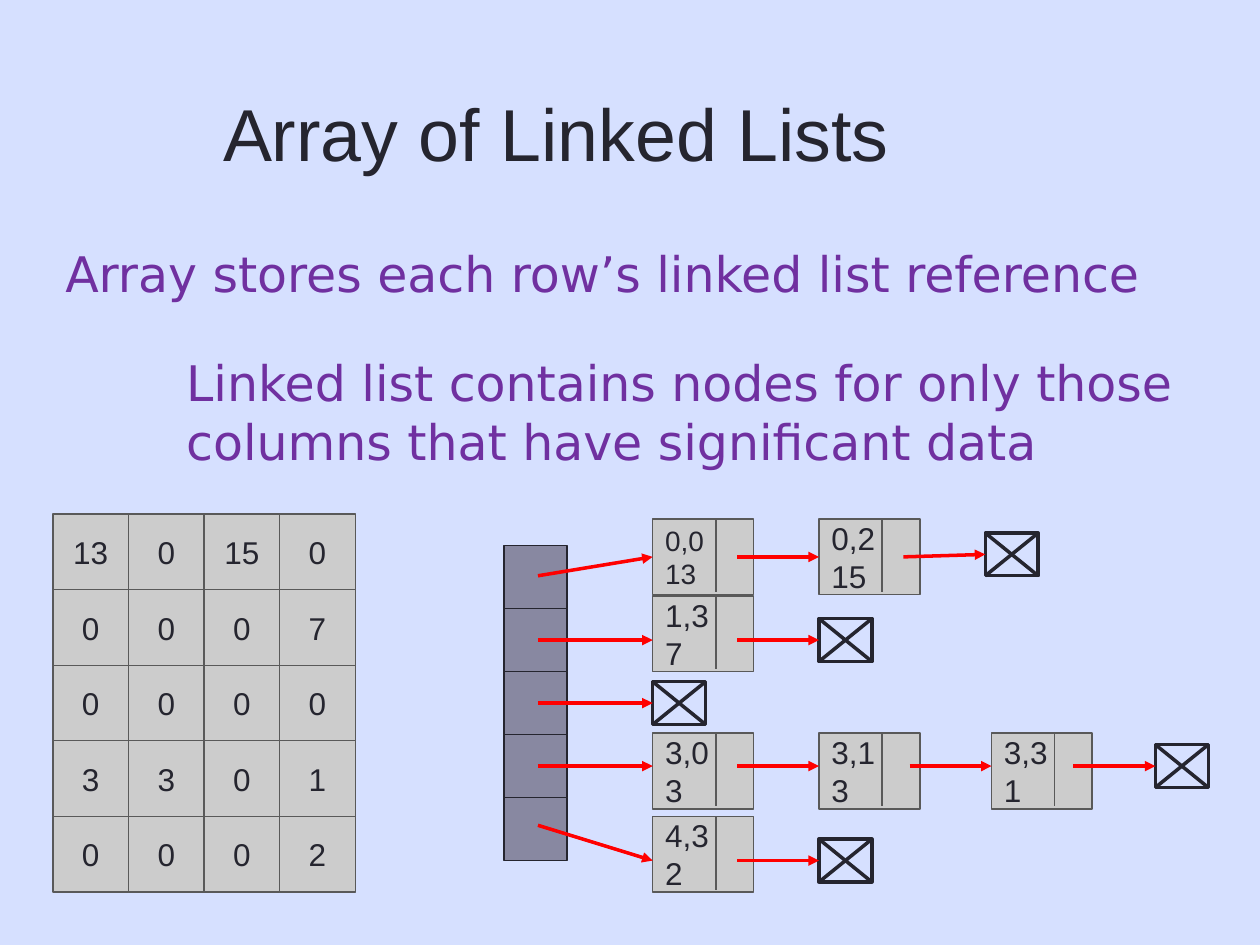
import pptx
import pptx.util
import pptx.dml.color
import pptx.enum.shapes
import pptx.enum.text
import pptx.oxml
import pptx.oxml.ns

Inches = pptx.util.Inches
Pt = pptx.util.Pt
RGBColor = pptx.dml.color.RGBColor
Align = pptx.enum.text.PP_ALIGN
Anchor = pptx.enum.text.MSO_ANCHOR

PALE = RGBColor(0xD6, 0xE0, 0xFF)
INK = RGBColor(0x25, 0x25, 0x2F)
GREY = RGBColor(0xCC, 0xCC, 0xCC)
EDGE = RGBColor(0x59, 0x59, 0x59)
SLATE = RGBColor(0x88, 0x88, 0xA1)
RED = RGBColor(0xFF, 0x00, 0x00)
PURPLE = RGBColor(0x70, 0x30, 0xA0)

MATRIX = [
    [13, 0, 15, 0],
    [0, 0, 0, 7],
    [0, 0, 0, 0],
    [3, 3, 0, 1],
    [0, 0, 0, 2],
]

# Each list: array exit y, arrow y, node top, nodes (left, text, size), null left, null top
LISTS = [
    (4.57, 4.42, 4.12, [(5.18, "0,0\n13", 16), (6.5, "0,2\n15", 18)], 7.82, 4.23),
    (5.08, 5.08, 4.73, [(5.18, "1,3\n7", 18)], 6.5, 4.91),
    (5.58, 5.58, None, [], 5.18, 5.41),
    (6.08, 6.08, 5.82,
     [(5.18, "3,0\n3", 18), (6.5, "3,1\n3", 18), (7.87, "3,3\n1", 18)], 9.17, 5.91),
    (6.55, 6.83, 6.48, [(5.18, "4,3\n2", 18)], 6.5, 6.66),
]


def write(shape, text, size=18, font="Arial", color=INK,
          align=Align.LEFT, anchor=Anchor.MIDDLE):
    frame = shape.text_frame
    frame.word_wrap = True
    frame.auto_size = pptx.enum.text.MSO_AUTO_SIZE.NONE
    frame.vertical_anchor = anchor
    para = frame.paragraphs[0]
    para.text = text
    para.alignment = align
    for run in para.runs:
        run.font.size = Pt(size)
        run.font.name = font
        run.font.color.rgb = color


class Deck:
    cell = 0.6
    slot = 0.5
    node_w = 0.8
    null_w, null_h = 0.42, 0.34
    reach = 0.65

    def __init__(self):
        self.show = pptx.Presentation()
        self.show.slide_width = Inches(10)
        self.show.slide_height = Inches(7.5)
        self.slide = self.show.slides.add_slide(self.show.slide_layouts[5])
        fill = self.slide.background.fill
        fill.solid()
        fill.fore_color.rgb = PALE

    def title(self, text, x, y, w, h):
        box = self.slide.shapes.title
        box.left, box.top, box.width, box.height = map(Inches, (x, y, w, h))
        write(box, text, size=42)

    def note(self, text, x, y, w, h):
        box = self.slide.shapes.add_textbox(*map(Inches, (x, y, w, h)))
        write(box, text, size=28, font="DejaVu Sans", color=PURPLE, anchor=Anchor.TOP)

    def rect(self, x, y, w, h, fill=None, line=INK, width=0.75):
        kind = pptx.enum.shapes.MSO_SHAPE.RECTANGLE
        box = self.slide.shapes.add_shape(kind, *map(Inches, (x, y, w, h)))
        box.shadow.inherit = False
        if fill is None:
            box.fill.background()
        else:
            box.fill.solid()
            box.fill.fore_color.rgb = fill
        box.line.color.rgb = line
        box.line.width = Pt(width)
        return box

    def line(self, x1, y1, x2, y2, color=INK, width=2):
        kind = pptx.enum.shapes.MSO_CONNECTOR.STRAIGHT
        link = self.slide.shapes.add_connector(kind, *map(Inches, (x1, y1, x2, y2)))
        link.line.color.rgb = color
        link.line.width = Pt(width)
        pptx.oxml.ns.qn("a:effectLst")
        link._element.spPr.append(pptx.oxml.parse_xml(
            '<a:effectLst xmlns:a="%s"/>' % pptx.oxml.ns.nsuri("a")))
        return link

    def arrow(self, x, y, end, box):
        link = self.line(x, y, box.left / Inches(1), end, RED)
        tip = pptx.oxml.parse_xml(
            '<a:tailEnd xmlns:a="%s" type="triangle"/>' % pptx.oxml.ns.nsuri("a"))
        link.line._get_or_add_ln().append(tip)
        if abs(box.top + box.height / 2 - Inches(end)) < Inches(0.03):
            link.end_connect(box, 1)

    def node(self, x, y, text, size):
        box = self.rect(x, y, self.node_w, self.cell, GREY, EDGE, 1)
        write(box, text, size=size)
        self.line(x + 0.5, y, x + 0.5, y + 0.58, EDGE, 1)
        return box

    def null(self, x, y):
        right, low = x + self.null_w, y + self.null_h
        box = self.rect(x, y, self.null_w, self.null_h, width=2)
        self.line(x, low, right, y)
        self.line(x, y, right, low)
        return box

    def matrix(self, rows, x, y):
        for r, row in enumerate(rows):
            for c, value in enumerate(row):
                box = self.rect(x + c * self.cell, y + r * self.cell,
                                self.cell, self.cell, GREY, EDGE)
                write(box, str(value), align=Align.CENTER)

    def array(self, count, x, y):
        for i in range(count):
            self.rect(x, y + i * self.slot, self.slot, self.slot, SLATE)

    def chain(self, start, level, top, nodes, null_x, null_y):
        boxes = [self.node(x, top, text, size) for x, text, size in nodes]
        boxes.append(self.null(null_x, null_y))
        self.arrow(4.27, start, level, boxes[0])
        for box in boxes[1:]:
            self.arrow(box.left / Inches(1) - self.reach, level, level, box)


def main():
    deck = Deck()
    deck.title("Array of Linked Lists", 1.67, 0.21, 7.67, 1.67)
    deck.matrix(MATRIX, 0.42, 4.08)
    deck.array(len(LISTS), 4, 4.33)
    for row in LISTS:
        deck.chain(*row)
    deck.note("Array stores each row’s linked list reference", 0.42, 1.88, 8.94, 0.57)
    deck.note("Linked list contains nodes for only those columns that have significant data",
              1.38, 2.75, 8.44, 1.03)
    deck.show.save("out.pptx")


if __name__ == "__main__":
    main()
